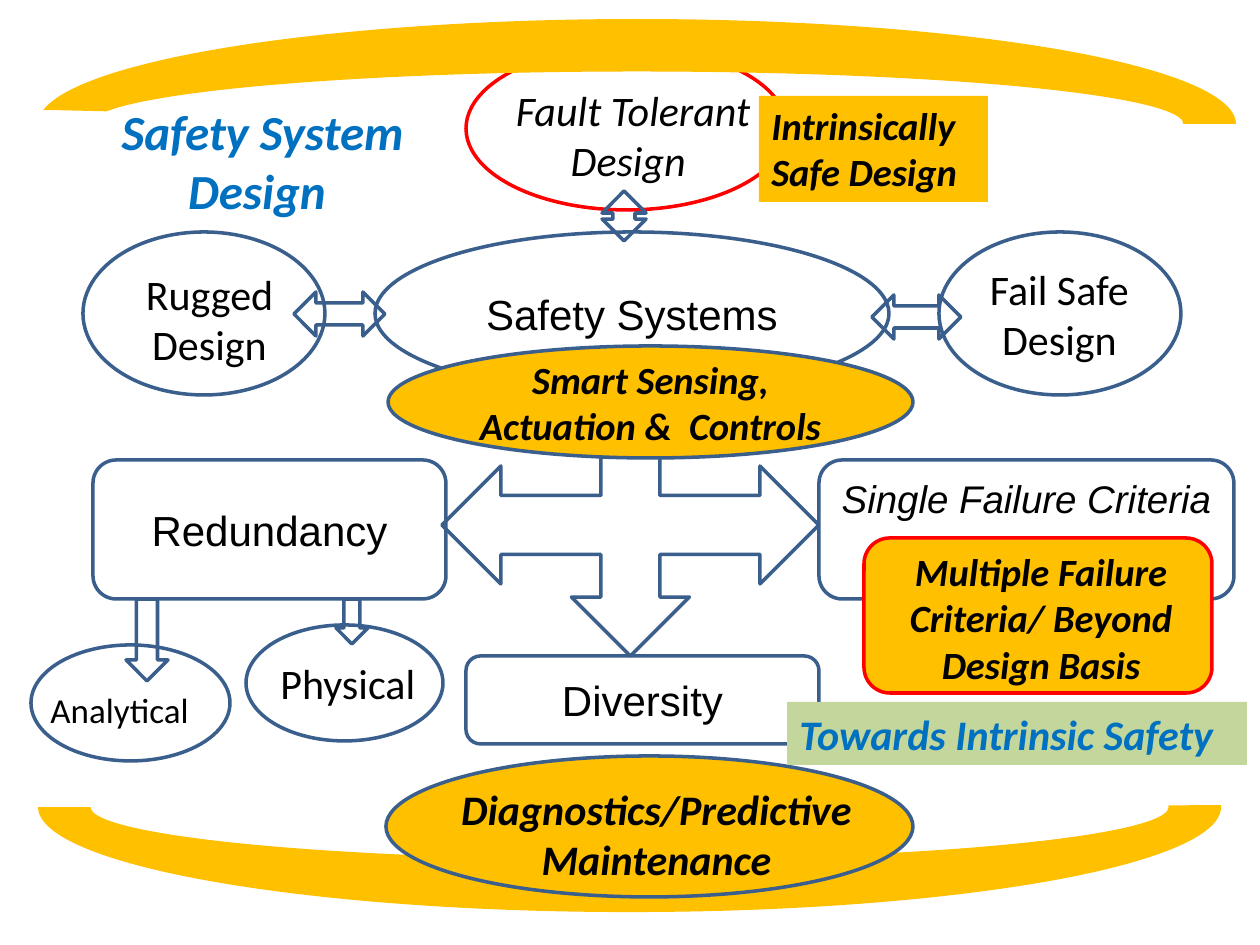
from pptx import Presentation
from pptx.dml.color import RGBColor
from pptx.enum.shapes import MSO_SHAPE
from pptx.enum.text import MSO_ANCHOR, MSO_AUTO_SIZE, PP_ALIGN
from pptx.util import Pt

SCALE = 914400 / 126
BLACK = RGBColor(0, 0, 0)
NAVY = RGBColor(0x3A, 0x5F, 0x8C)
BLUE = RGBColor(0x00, 0x70, 0xC0)
GOLD = RGBColor(0xFF, 0xC0, 0x00)
GREEN = RGBColor(0xC3, 0xD6, 0x9B)
RED = RGBColor(0xFF, 0, 0)
LEFT, MID = PP_ALIGN.LEFT, PP_ALIGN.CENTER


def px(n):
    return round(n * SCALE)


def place(shape, box):
    shape.left, shape.top, shape.width, shape.height = map(px, box)


def write(shape, text, size=24, font="Calibri", color=BLACK,
          bold=False, italic=False, align=MID, anchor=MSO_ANCHOR.TOP):
    frame = shape.text_frame
    frame.word_wrap = True
    frame.auto_size = MSO_AUTO_SIZE.NONE
    frame.vertical_anchor = anchor
    for i, line in enumerate(text.split("\n")):
        para = frame.add_paragraph() if i else frame.paragraphs[0]
        para.alignment = align
        run = para.add_run()
        run.text = line
        run.font.name = font
        run.font.size = Pt(size)
        run.font.bold = bold
        run.font.italic = italic
        run.font.color.rgb = color


def inset(shape, left, top, right, bottom):
    frame = shape.text_frame
    frame.margin_left, frame.margin_top = px(left), px(top)
    frame.margin_right, frame.margin_bottom = px(right), px(bottom)


def draw(slide, kind, box, line=NAVY, fill=None, turn=0):
    shape = slide.shapes.add_shape(kind, *map(px, box))
    shape.shadow.inherit = False
    shape.rotation = turn
    if fill is None:
        shape.fill.background()
    else:
        shape.fill.solid()
        shape.fill.fore_color.rgb = fill
    if line is None:
        shape.line.fill.background()
    else:
        shape.line.color.rgb = line
        shape.line.width = Pt(2)
    return shape


def node(slide, kind, box, text, size=24, font="Arial", italic=False,
         bold=False, fill=None):
    shape = draw(slide, kind, box, fill=fill)
    write(shape, text, size, font, italic=italic, bold=bold,
          anchor=MSO_ANCHOR.MIDDLE)
    return shape


def label(slide, box, text, size=24, fill=None, **style):
    shape = slide.shapes.add_textbox(*map(px, box))
    if fill is not None:
        shape.fill.solid()
        shape.fill.fore_color.rgb = fill
    write(shape, text, size, **style)


def arc(slide, box, start, turn=0):
    shape = draw(slide, MSO_SHAPE.BLOCK_ARC, box, None, GOLD, turn)
    for i, value in enumerate((start, 0, 0.25)):
        shape.adjustments[i] = value


def main():
    deck = Presentation()
    deck.slide_width, deck.slide_height = px(1260), px(945)
    slide = deck.slides.add_slide(deck.slide_layouts[5])
    oval, block = MSO_SHAPE.OVAL, MSO_SHAPE.ROUNDED_RECTANGLE
    both, down = MSO_SHAPE.LEFT_RIGHT_ARROW, MSO_SHAPE.DOWN_ARROW
    strong = {"bold": True, "italic": True}

    title = slide.shapes.title
    place(title, (54, 95, 417, 131))
    write(title, "Safety System Design ", 28, color=BLUE, **strong)

    hub = node(slide, oval, (375, 232, 514, 163), "Safety Systems")
    inset(hub, 0, 0, 0, 0)
    draw(slide, MSO_SHAPE.QUAD_ARROW, (442, 394, 377, 262))
    node(slide, block, (93, 460, 353, 139), "Redundancy")
    node(slide, block, (466, 656, 353, 88), "Diversity")
    single = node(slide, block, (819, 460, 415, 139),
                  "Single Failure Criteria", 22, italic=True)
    inset(single, 13, 0, 13, 63)

    draw(slide, oval, (939, 232, 242, 163))
    label(slide, (960, 257, 199, 115), "Fail Safe\nDesign")
    draw(slide, oval, (83, 232, 242, 163))
    label(slide, (93, 262, 233, 115), "Rugged Design")
    draw(slide, both, (294, 292, 91, 44))
    draw(slide, both, (872, 295, 89, 44))

    draw(slide, oval, (31, 645, 199, 116))
    draw(slide, oval, (246, 625, 197, 116))
    label(slide, (268, 651, 166, 63), "Physical", align=LEFT)
    label(slide, (38, 682, 194, 55), "Analytical", 20, align=LEFT)
    draw(slide, down, (126, 599, 42, 82))
    draw(slide, down, (336, 599, 32, 45))

    draw(slide, oval, (466, 47, 321, 163), RED)
    draw(slide, both, (599, 194, 50, 44), turn=270)
    label(slide, (491, 78, 284, 115), "Fault Tolerant Design ", italic=True)
    draw(slide, block, (864, 538, 348, 155), RED, GOLD)
    label(slide, (873, 542, 336, 152),
          "Multiple Failure Criteria/ Beyond Design Basis", 22, **strong)

    arc(slide, (38, 702, 1183, 210), 107.89, 180)
    draw(slide, oval, (386, 756, 527, 141), fill=GOLD)
    arc(slide, (38, 19, 1198, 210), 108.82)
    node(slide, oval, (388, 346, 525, 112),
         "Smart Sensing, Actuation &  Controls", 22, "Calibri",
         fill=GOLD, **strong)
    label(slide, (431, 777, 451, 115),
          "Diagnostics/Predictive Maintenance", **strong)
    label(slide, (759, 96, 229, 106), "Intrinsically Safe Design", 22,
          GOLD, align=LEFT, **strong)
    label(slide, (787, 702, 460, 63), "Towards Intrinsic Safety", 24,
          GREEN, color=BLUE, align=LEFT, **strong)
    deck.save("out.pptx")


if __name__ == "__main__":
    main()
